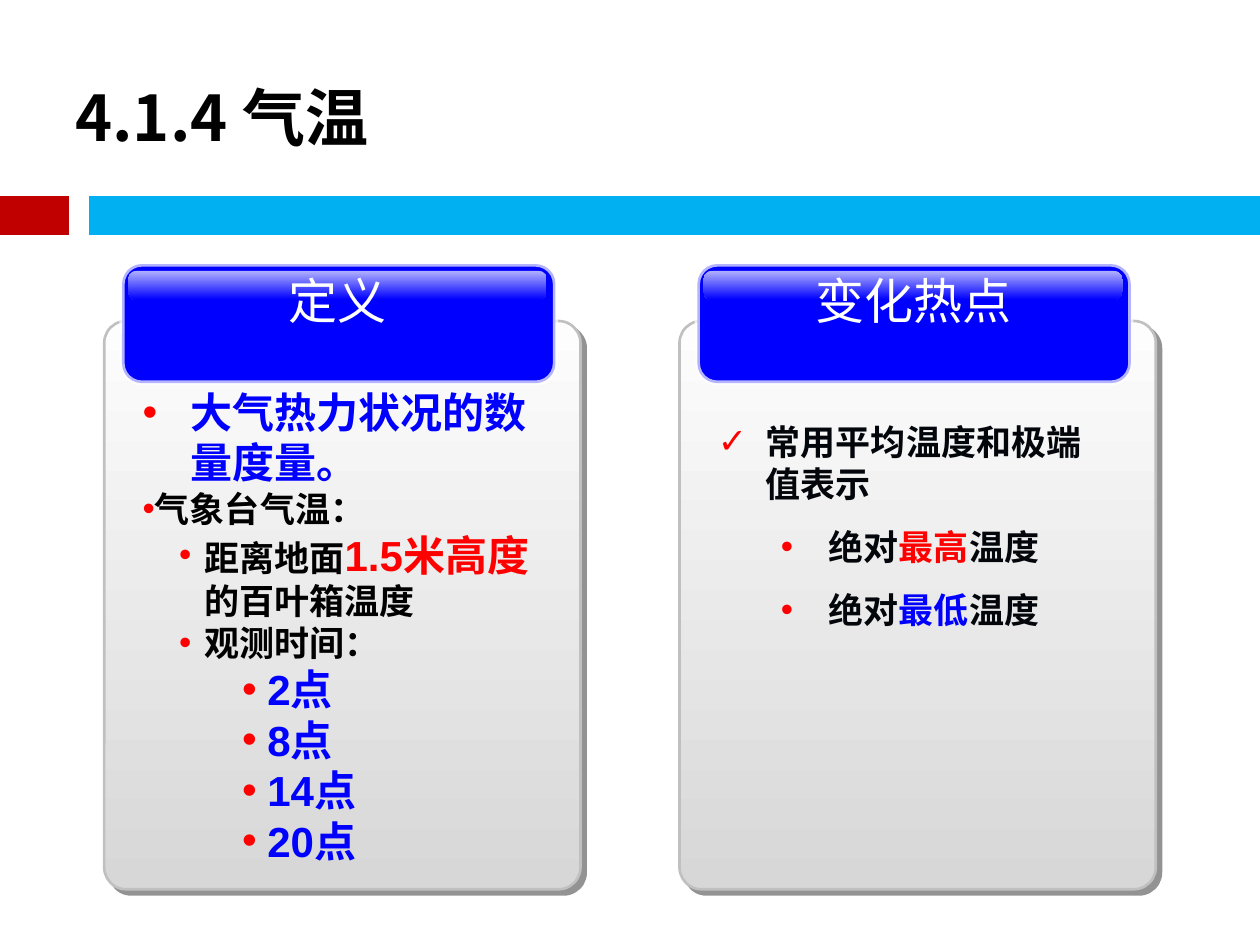
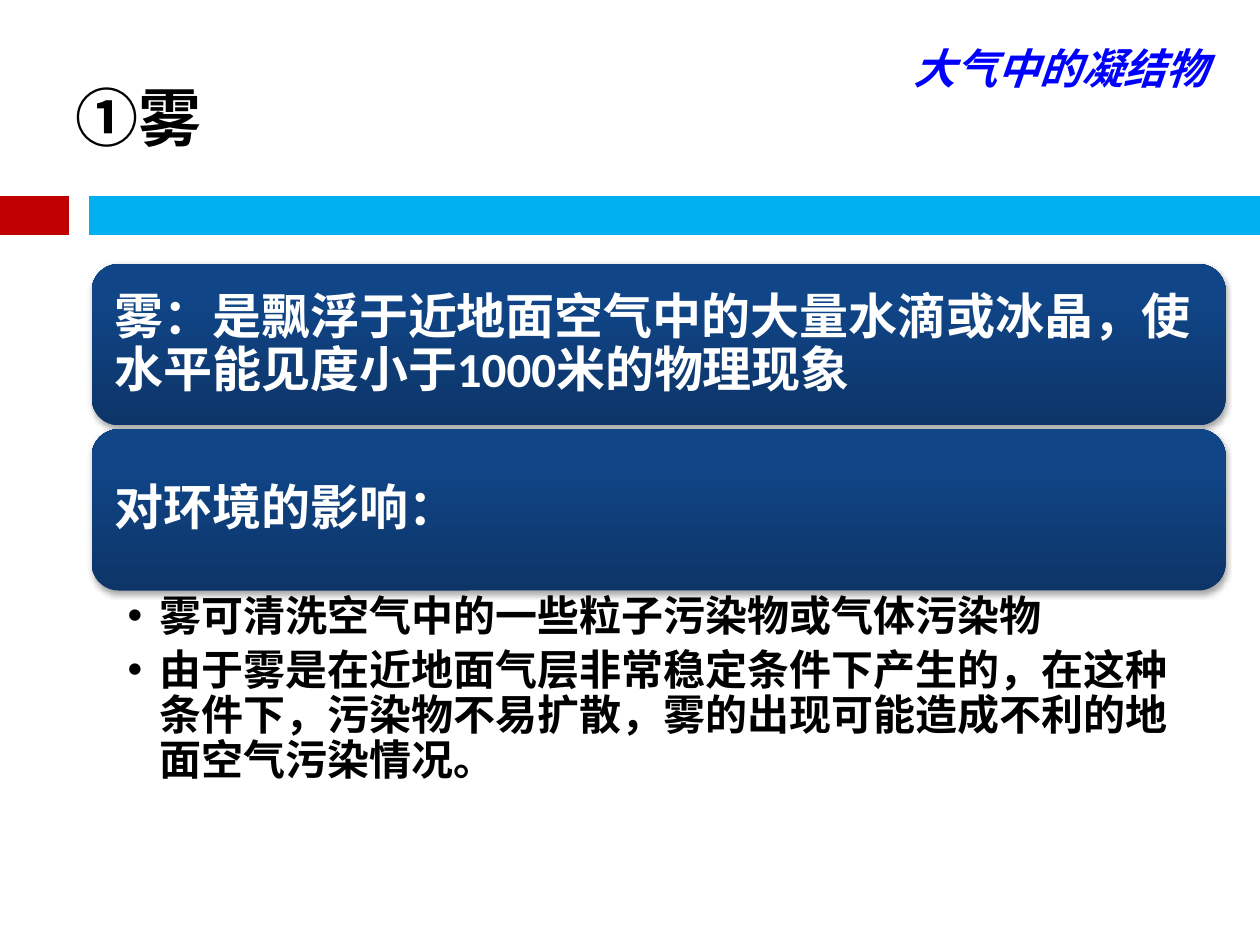
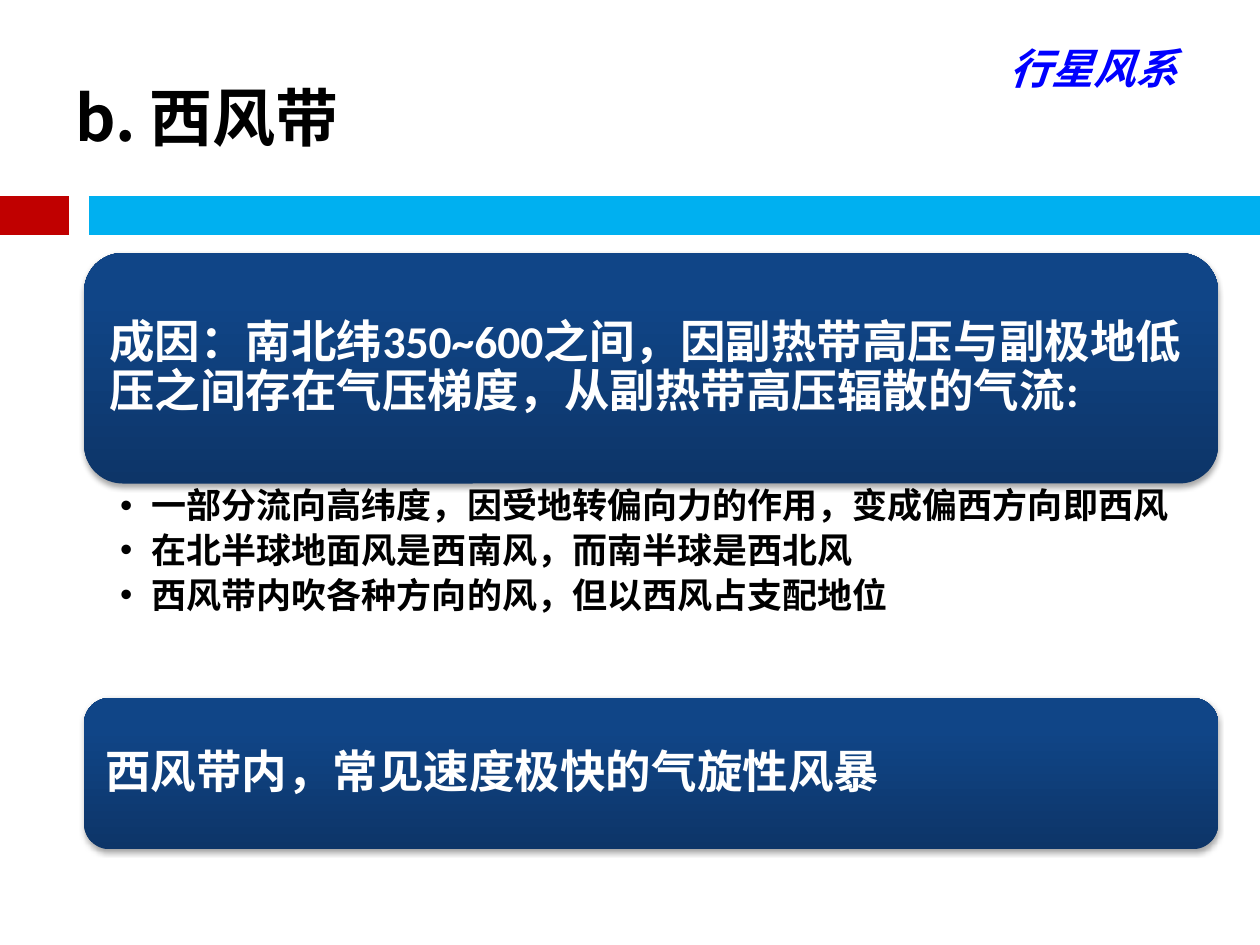
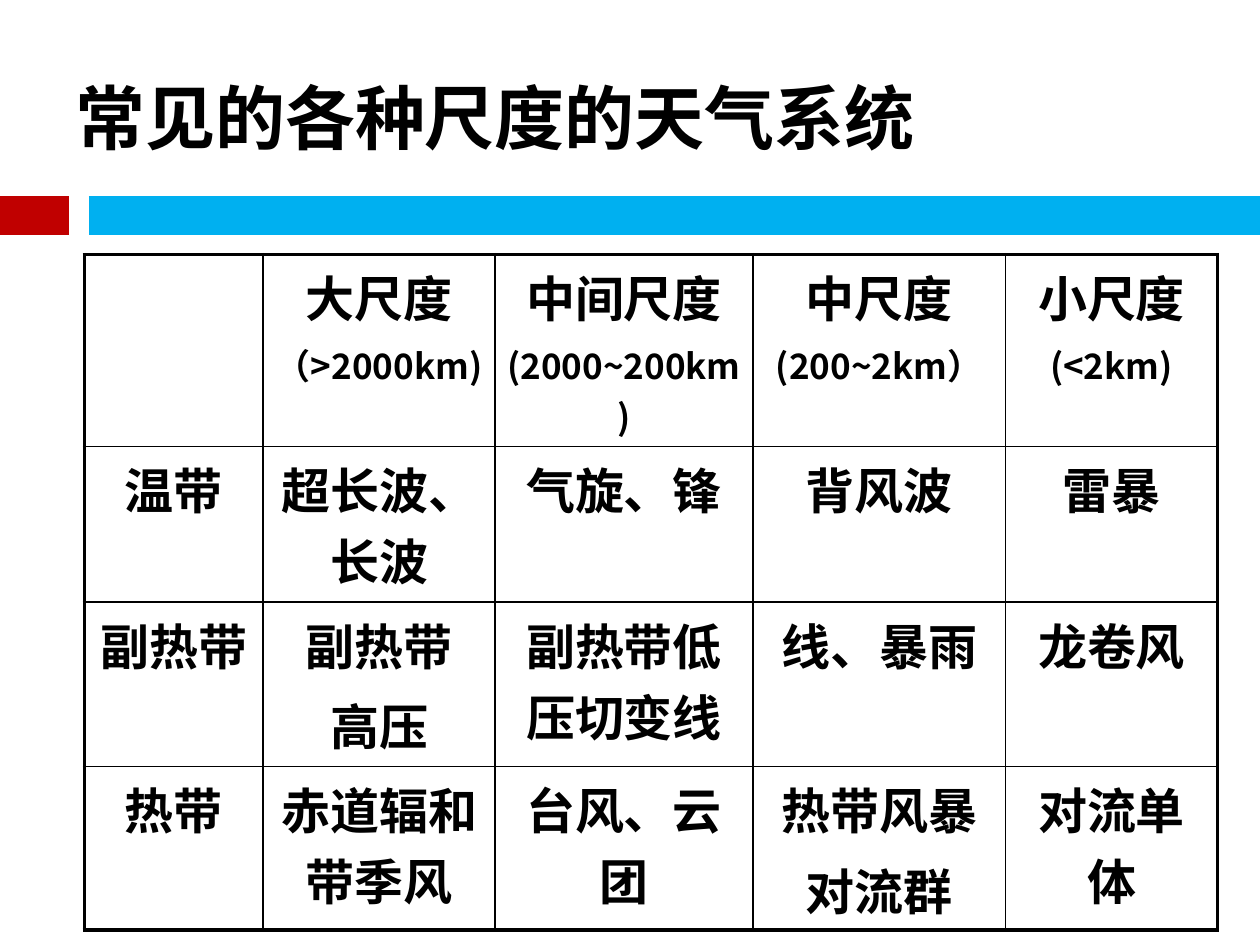
from dataclasses import dataclass
from typing import Optional

from lxml.etree import SubElement
from pptx import Presentation
from pptx.dml.color import RGBColor
from pptx.enum.shapes import MSO_CONNECTOR as CONN, MSO_SHAPE as SHAPE
from pptx.enum.text import MSO_ANCHOR as ANCHOR, PP_ALIGN as ALIGN
from pptx.oxml.ns import qn
from pptx.util import Emu, Inches, Pt

C = {
    "black": "000000", "white": "FFFFFF", "red": "FF0000", "blue": "0000FF",
    "ink": "03070C", "band_red": "C00000", "band_blue": "00B0F0",
    "panel_top": "FDFDFD", "panel_end": "D7D7D7", "panel_line": "C0C0C0",
    "panel_shadow": "292929", "card_dark": "0D3568", "card_mid": "104587",
    "card_light": "0E458A",
}
CJK, ARIAL, CALIBRI = "Noto Sans CJK SC", "Arial", "Calibri"
W, H = Inches(10), Inches(7.5)


def across(share: float) -> Emu:
    return Emu(int(W * share / 100))


def down(share: float) -> Emu:
    return Emu(int(H * share / 100))


@dataclass(frozen=True)
class Box:
    left: float
    top: float
    width: float
    height: float

    def emu(self) -> tuple:
        return across(self.left), down(self.top), across(self.width), down(self.height)


@dataclass(frozen=True)
class Run:
    text: str
    size: float
    color: str = "black"
    font: str = CJK
    bold: bool = True
    italic: bool = False


@dataclass(frozen=True)
class Para:
    runs: tuple
    indent: Optional[tuple] = None
    bullet: str = "•"
    bullet_color: Optional[str] = None
    before: float = 0
    after: float = 0
    spacing: Optional[float] = None
    align: Optional[ALIGN] = None


@dataclass(frozen=True)
class Shadow:
    color: str
    alpha: int
    blur: float
    dist: float
    angle: int


@dataclass(frozen=True)
class Panel:
    left: float
    heading: str
    heading_width: float
    heading_height: float
    body_top: float
    body_height: float
    paras: tuple


@dataclass(frozen=True)
class Card:
    top: float
    height: float
    text: str


PANEL_SHADOW = Shadow("panel_shadow", 50, 0, 4.2, 45)
CARD_SHADOW = Shadow("black", 35, 3.1, 1.8, 90)
CARD_STOPS = ((0, "card_dark", 100), (80, "card_mid", 100), (100, "card_light", 100))


def add_color(parent, color: str, alpha: int = 100) -> None:
    clr = SubElement(parent, qn("a:srgbClr"), val=C[color])
    if alpha < 100:
        SubElement(clr, qn("a:alpha"), val=str(alpha * 1000))


def set_gradient(sp, stops: tuple, angle: int) -> None:
    sp.fill.gradient()
    grad = sp._element.spPr.find(qn("a:gradFill"))
    for child in list(grad):
        grad.remove(child)
    gs_list = SubElement(grad, qn("a:gsLst"))
    for pos, color, alpha in stops:
        add_color(SubElement(gs_list, qn("a:gs"), pos=str(pos * 1000)), color, alpha)
    SubElement(grad, qn("a:lin"), ang=str(angle * 60000), scaled="0")


def add_round(shapes, box: Box, adj: float):
    sp = shapes.add_shape(SHAPE.ROUNDED_RECTANGLE, *box.emu())
    sp.adjustments[0] = adj
    sp.shadow.inherit = False
    sp.line.fill.background()
    return sp


def set_line(sp, color: str, width: float, alpha: int = 100) -> None:
    sp.line.color.rgb = RGBColor.from_string(C[color])
    sp.line.width = Pt(width)
    if alpha < 100:
        clr = sp._element.spPr.find(qn("a:ln")).find(".//" + qn("a:srgbClr"))
        SubElement(clr, qn("a:alpha"), val=str(alpha * 1000))


def set_shadow(sp, shadow: Shadow) -> None:
    effects = sp._element.spPr.find(qn("a:effectLst"))
    outer = SubElement(effects, qn("a:outerShdw"), blurRad=str(Pt(shadow.blur)),
                       dist=str(Pt(shadow.dist)), dir=str(shadow.angle * 60000),
                       algn="ctr", rotWithShape="0")
    add_color(outer, shadow.color, shadow.alpha)


def format_run(r, run: Run) -> None:
    r.text = run.text
    f = r.font
    f.size, f.bold, f.italic, f.name = Pt(run.size), run.bold, run.italic, run.font
    f.color.rgb = RGBColor.from_string(C[run.color])
    SubElement(r._r.get_or_add_rPr(), qn("a:ea"), typeface=run.font)


def fill_text(tf, paras: tuple) -> None:
    for i, para in enumerate(paras):
        p = tf.paragraphs[0] if i == 0 else tf.add_paragraph()
        if para.indent:
            pPr = p._p.get_or_add_pPr()
            pPr.set("marL", str(Inches(para.indent[0])))
            pPr.set("indent", str(Inches(para.indent[1])))
            if para.bullet_color:
                add_color(SubElement(pPr, qn("a:buClr")), para.bullet_color)
            SubElement(pPr, qn("a:buFont"), typeface=ARIAL)
            SubElement(pPr, qn("a:buChar"), char=para.bullet)
        if para.align is not None:
            p.alignment = para.align
        if para.spacing:
            p.line_spacing = para.spacing
        if para.before and i:
            p.space_before = Pt(para.before)
        if para.after:
            p.space_after = Pt(para.after)
        for run in para.runs:
            format_run(p.add_run(), run)


def add_text(shapes, box: Box, paras: tuple, wrap: bool = True,
             anchor: ANCHOR = ANCHOR.TOP, insets: tuple = (0.1, 0.05, 0.1, 0.05)) -> None:
    tf = shapes.add_textbox(*box.emu()).text_frame
    tf.word_wrap, tf.vertical_anchor = wrap, anchor
    (tf.margin_left, tf.margin_top,
     tf.margin_right, tf.margin_bottom) = (Inches(v) for v in insets)
    fill_text(tf, paras)


def add_band(s, start: float, end: float, color: str) -> None:
    x1, y, x2, _ = Box(start, 22.8, end, 0).emu()
    cn = s.shapes.add_connector(CONN.STRAIGHT, x1, y, x2, y)
    set_line(cn, color, 22)
    SubElement(cn._element.spPr, qn("a:effectLst"))


def add_slide(prs, title: str, size: int = 36):
    s = prs.slides.add_slide(prs.slide_layouts[6])
    add_band(s, 0, 5.5, "band_red")
    add_band(s, 7.05, 100, "band_blue")
    add_text(s.shapes, Box(5, 4, 90, 16.67), (Para((Run(title, size),)),),
             anchor=ANCHOR.MIDDLE)
    return s


def add_panel(s, panel: Panel) -> None:
    shapes = s.shapes.add_group_shape().shapes
    x = panel.left
    sp = add_round(shapes, Box(x, 33.97, 37.8, 60.13), 0.046)
    set_gradient(sp, ((0, "panel_top", 100), (100, "panel_end", 100)), 90)
    set_line(sp, "panel_line", 1.5)
    set_shadow(sp, PANEL_SHADOW)

    header = Box(x + 1.42, 27.95, 34.4, 12.6)
    sp = add_round(shapes, header, 0.167)
    sp.fill.solid()
    sp.fill.fore_color.rgb = RGBColor.from_string(C["blue"])
    set_line(sp, "white", 3, 70)

    gloss = add_round(shapes, Box(x + 1.92, 28.67, 33.2, 3.07), 0.284)
    set_gradient(gloss, ((0, "white", 70), (100, "blue", 70)), 90)

    left = header.left + (header.width - panel.heading_width) / 2 - 0.08
    add_text(shapes, Box(left, header.top, panel.heading_width, panel.heading_height),
             (Para((Run(panel.heading, 28, "white", bold=False),), align=ALIGN.CENTER),),
             wrap=False)
    add_text(shapes, Box(x + 2.07, panel.body_top, 33, panel.body_height), panel.paras)


def add_card(shapes, left: float, card: Card, size: int) -> None:
    sp = add_round(shapes, Box(left, card.top, 90, card.height), 0.167)
    set_gradient(sp, CARD_STOPS, 270)
    set_shadow(sp, CARD_SHADOW)
    dy = card.height * 0.049
    dx = dy * H / W
    add_text(shapes, Box(left + dx, card.top + dy, 90 - 2 * dx, card.height - 2 * dy),
             (Para((Run(card.text, size, "white", CALIBRI),), spacing=0.9),),
             anchor=ANCHOR.MIDDLE, insets=(size * 0.0042,) * 4)


def add_points(shapes, left: float, top: float, height: float,
               points: tuple, size: int) -> None:
    paras = tuple(Para((Run(t, size, font=CALIBRI),), indent=(0.25, -0.25),
                       spacing=0.9, after=size * 0.2) for t in points)
    add_text(shapes, Box(left, top, 90, height), paras,
             insets=(0.285, 0.03, 0.19, 0.03))


def add_tag(s, text: str, left: float, width: float) -> None:
    run = Run(text, 24, "blue", ARIAL, italic=True)
    add_text(s.shapes, Box(left, 3.8, width, 6.67), (Para((run,)),), wrap=False)


def set_borders(cell, edges: dict) -> None:
    tcPr = cell._tc.get_or_add_tcPr()
    for side, outer in edges.items():
        ln = SubElement(tcPr, qn(f"a:ln{side}"), w=str(Pt(2.25 if outer else 1)))
        add_color(SubElement(ln, qn("a:solidFill")), "black")
    cell.fill.background()


def add_grid(s, left: float, top: float, columns: tuple, heights: tuple,
             rows: tuple) -> None:
    n_rows, n_cols = len(rows), len(columns)
    box = Box(left, top, sum(columns), sum(heights))
    table = s.shapes.add_table(n_rows, n_cols, *box.emu()).table
    table.first_row = table.horz_banding = False
    for col, share in zip(table.columns, columns):
        col.width = across(share)
    for row, share in zip(table.rows, heights):
        row.height = down(share)
    for i, row in enumerate(rows):
        for j, lines in enumerate(row):
            cell = table.cell(i, j)
            cell.margin_left = cell.margin_right = Inches(0.09)
            cell.margin_top = cell.margin_bottom = Inches(0.05)
            sizes = [20 if i == 0 and k else 28 for k in range(len(lines))]
            fill_text(cell.text_frame, tuple(
                Para((Run(t, size),), before=size * 0.2, align=ALIGN.CENTER)
                for t, size in zip(lines, sizes)))
            set_borders(cell, {"L": j == 0, "R": j == n_cols - 1,
                               "T": i == 0, "B": i == n_rows - 1})


def red_bullet(runs: tuple, margin: float, hang: float = -0.2, **options) -> Para:
    return Para(runs, indent=(margin, hang), bullet_color="red", **options)


def extreme(word: str, color: str) -> Para:
    return red_bullet((Run("绝对", 20, "ink", ARIAL), Run(word, 20, color, ARIAL),
                       Run("温度", 20, "ink", ARIAL)), 0.88, -0.38, before=12)


def temperature_slide(prs) -> None:
    s = add_slide(prs, "4.1.4 气温")
    definition = (
        red_bullet((Run("大气热力状况的数量度量。", 24, "blue"),), 0.38, -0.38),
        red_bullet((Run("气象台气温：", 20, font=ARIAL),), 0),
        red_bullet((Run("距离地面", 20, font=ARIAL), Run("1.5米高度", 24, "red", ARIAL),
                    Run("的百叶箱温度", 20, font=ARIAL)), 0.49),
        red_bullet((Run("观测时间：", 20, font=ARIAL),), 0.49),
        *(red_bullet((Run(f"{hour}点", 24, "blue", ARIAL),), 0.99)
          for hour in (2, 8, 14, 20)),
    )
    hotspots = (
        red_bullet((Run("常用平均温度和极端值表示", 20, "ink", ARIAL),),
                   0.38, -0.38, bullet="✓"),
        extreme("最高", "red"),
        extreme("最低", "blue"),
    )
    add_panel(s, Panel(8.27, "定义", 9.9, 7.2, 40.25, 52.53, definition))
    add_panel(s, Panel(53.93, "变化热点", 17.7, 9.47, 43.87, 29.33, hotspots))


def fog_slide(prs) -> None:
    s = add_slide(prs, "①雾")
    shapes = s.shapes.add_group_shape().shapes
    cards = ("雾：是飘浮于近地面空气中的大量水滴或冰晶，使水平能见度小于1000米的物理现象",
             "对环境的影响：")
    for i, text in enumerate(cards):
        add_card(shapes, 7.28, Card(27.95 + i * 17.47, 17.07, text), 28)
    add_points(shapes, 7.28, 62.6, 22.93, (
        "雾可清洗空气中的一些粒子污染物或气体污染物",
        "由于雾是在近地面气层非常稳定条件下产生的，在这种条件下，污染物不易扩散，"
        "雾的出现可能造成不利的地面空气污染情况。"), 24)
    add_tag(s, "大气中的凝结物", 71.5, 25.7)


def westerlies_slide(prs) -> None:
    s = add_slide(prs, "b. 西风带")
    shapes = s.shapes.add_group_shape().shapes
    add_card(shapes, 6.68, Card(26.77, 24.4, "成因：南北纬350~600之间，因副热带高压与副极地"
                                "低压之间存在气压梯度，从副热带高压辐散的气流:"), 26)
    add_points(shapes, 6.68, 51.27, 22.67, (
        "一部分流向高纬度，因受地转偏向力的作用，变成偏西方向即西风",
        "在北半球地面风是西南风，而南半球是西北风",
        "西风带内吹各种方向的风，但以西风占支配地位"), 20)
    add_card(shapes, 6.68, Card(73.87, 16, "西风带内，常见速度极快的气旋性风暴"), 26)
    add_tag(s, "行星风系", 79.1, 15.5)


def scales_slide(prs) -> None:
    s = add_slide(prs, "常见的各种尺度的天气系统", 40)
    rows = (
        ((), ("大尺度", "（>2000km)"), ("中间尺度", "(2000~200km)"),
         ("中尺度", "(200~2km）"), ("小尺度", "(<2km)")),
        (("温带",), ("超长波、长波",), ("气旋、锋",), ("背风波",), ("雷暴",)),
        (("副热带",), ("副热带", "高压"), ("副热带低压切变线",), ("线、暴雨",), ("龙卷风",)),
        (("热带",), ("赤道辐和带季风",), ("台风、云团",), ("热带风暴", "对流群"), ("对流单体",)),
    )
    add_grid(s, 6.7, 26.93, (14.17, 18.43, 20.45, 20.07, 16.8),
             (20.3, 16.5, 17.4, 17.3), rows)


def main() -> None:
    prs = Presentation()
    prs.slide_width, prs.slide_height = W, H
    for build in (temperature_slide, fog_slide, westerlies_slide, scales_slide):
        build(prs)
    prs.save("out.pptx")


if __name__ == "__main__":
    main()
